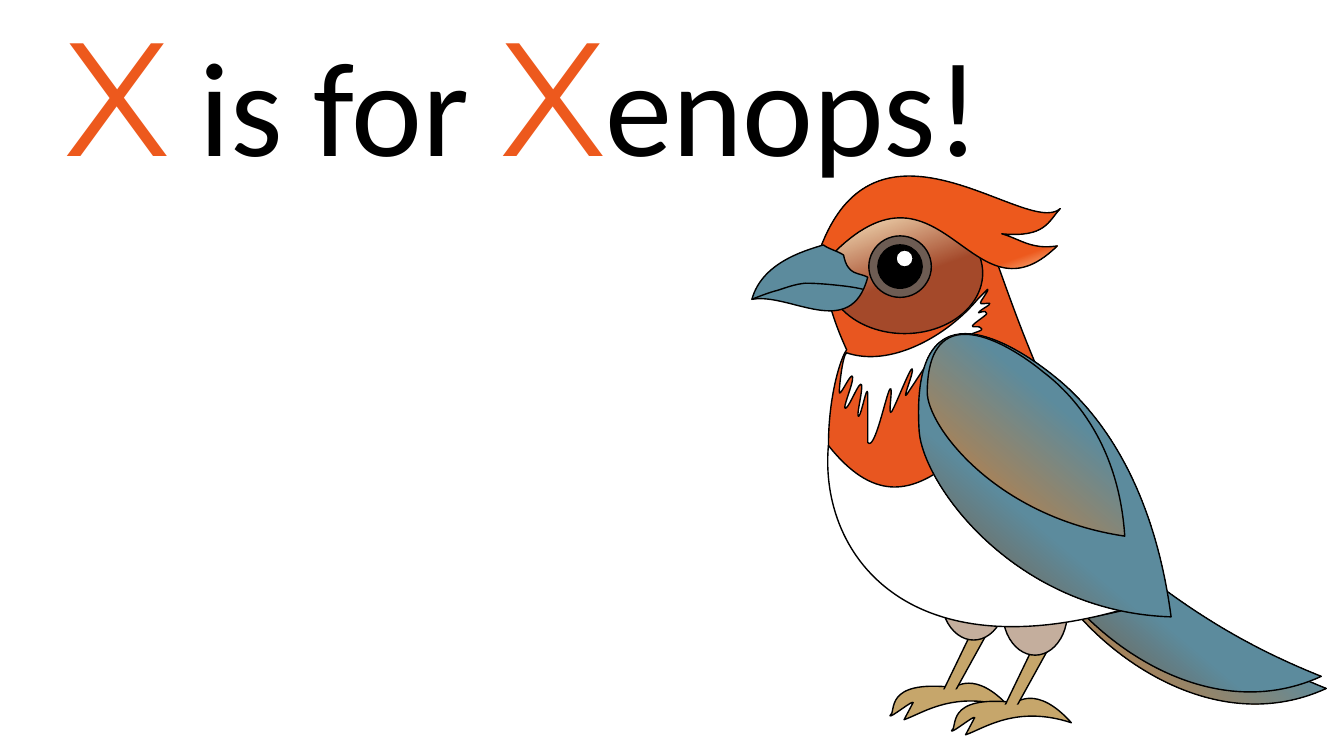
from lxml import etree
from pptx import Presentation
from pptx.dml.color import RGBColor
from pptx.enum.shapes import MSO_SHAPE
from pptx.enum.text import MSO_ANCHOR, MSO_AUTO_SIZE, PP_ALIGN
from pptx.oxml.ns import qn
from pptx.util import Cm, Pt

OVAL, TOP, CENTER = MSO_SHAPE.OVAL, MSO_ANCHOR.TOP, PP_ALIGN.CENTER
GROW = MSO_AUTO_SIZE.SHAPE_TO_FIT_TEXT

BLACK = RGBColor(0x00, 0x00, 0x00)
WHITE = RGBColor(0xFF, 0xFF, 0xFF)
ORANGE = RGBColor(0xED, 0x59, 0x1D)
RUST = RGBColor(0xE8, 0x56, 0x20)
AMBER = RGBColor(0xDF, 0x7C, 0x27)
BLUE = RGBColor(0x5C, 0x8B, 0x9D)
BROWN = RGBColor(0x7E, 0x4C, 0x26)
UMBER = RGBColor(0x88, 0x51, 0x26)
CREAM = RGBColor(0xFF, 0xF2, 0xCC)
BRICK = RGBColor(0xA4, 0x49, 0x2A)
TAN = RGBColor(0xC6, 0xA6, 0x6B)
PINK = RGBColor(0xC4, 0xAE, 0x9D)
TAUPE = RGBColor(0x6D, 0x5C, 0x53)

# Title runs: text, size, font, colour
TITLE = [
    ("X", 115, "Montserrat", ORANGE),
    (" is for ", 96, "Calibri", BLACK),
    ("X", 115, "Montserrat", ORANGE),
    ("enops! ", 96, "Calibri", BLACK),
]

# Outlines: a start point, then lines (x, y) and curves (two controls, end)
TAIL = [(10.83, 5.34), (10.49, 5.09, 10.17, 3.93, 10.36, 5.51),
        (10.43, 6.04, 11.8, 7.45, 13.16, 6.83),
        (12.31, 6.49, 11.66, 6.07, 10.83, 5.34)]
FOOT = [(9.46, 6.82), (8.75, 6.74, 8.9, 7.07, 8.83, 7.1),
        (8.83, 7.13, 9.06, 6.94, 9.06, 6.97), (8.97, 7.14),
        (9.15, 7.08, 9.47, 6.84, 10.02, 7.02),
        (9.67, 6.63, 9.47, 6.83, 9.46, 6.82)]
LEG = [(9.84, 6.2), (9.66, 6.23), (9.36, 6.85), (9.47, 6.87)]
ANKLE = [(9.59, 6.9), (9.5, 6.84), (9.27, 6.84), (9.32, 6.89)]
BODY = [(9.75, 2.24), (9.99, 1.68, 7.41, 1.32, 8.4, 3.47),
        (8.18, 3.78, 7.54, 7.01, 11.37, 6),
        (11.71, 6.03, 10.57, 4.3, 10.3, 3.67),
        (10.03, 3.04, 9.88, 2.53, 9.75, 2.24)]
RUFF = [(9.7, 2.97), (9.4, 3.33, 8.84, 3.65, 8.4, 3.5),
        (8.36, 3.52, 8.32, 3.88, 8.33, 3.9),
        (8.35, 3.91, 8.45, 3.68, 8.46, 3.74),
        (8.47, 3.8, 8.35, 4.07, 8.39, 4.05),
        (8.43, 4.04, 8.53, 3.76, 8.55, 3.82),
        (8.56, 3.88, 8.49, 4.15, 8.52, 4.13),
        (8.55, 4.11, 8.6, 3.81, 8.61, 3.9),
        (8.61, 4.39),
        (8.68, 4.48, 8.79, 3.92, 8.83, 3.86),
        (8.87, 3.81, 8.8, 4.16, 8.85, 4.08),
        (8.9, 3.99, 9.03, 3.65, 9.05, 3.66),
        (9.08, 3.67, 8.94, 3.99, 9, 3.91), (9.27, 3.5),
        (9.46, 3.43, 9.14, 3.67, 9.2, 3.68),
        (9.48, 3.76, 9.77, 3.41, 9.74, 3.37),
        (9.71, 3.34, 9.58, 3.39, 9.6, 3.35),
        (9.61, 3.3, 9.76, 3.29, 9.74, 3.26),
        (9.72, 3.22, 9.63, 3.26, 9.65, 3.23),
        (9.67, 3.2, 9.8, 3.12, 9.79, 3.11),
        (9.79, 3.06, 9.69, 3.12, 9.71, 3.1),
        (9.73, 3.07, 9.84, 3.02, 9.82, 3.01),
        (9.81, 3, 9.71, 3.03, 9.73, 3),
        (9.74, 2.97, 9.82, 2.87, 9.8, 2.87)]
BELLY = [(10.42, 3.9), (9.68, 4.06, 9.1, 5.53, 8.22, 4.42),
         (8.12, 5.54, 9.07, 6.77, 11.45, 5.95)]
CREST = [(9.94, 2.32), (10.37, 2.36, 10.4, 2.2, 10.52, 2.07),
         (10.18, 2.38, 8.53, 0.77, 8.05, 2.76),
         (9.32, 1.18, 9.59, 3.33, 10.49, 2.44),
         (10.23, 2.48, 10.12, 2.37, 9.94, 2.32)]
WING = [(10.47, 3.74), (10.14, 3.47, 9.02, 2.69, 9.12, 4.28),
        (9.16, 4.81, 10.07, 6.07, 11.62, 6.12),
        (11.43, 4.69, 10.82, 4.02, 10.47, 3.74)]
COVERTS = [(10.35, 3.69), (10.1, 3.48, 9.21, 2.87, 9.2, 3.89),
           (9.2, 4.23, 9.88, 5.13, 11.16, 5.32),
           (11.1, 4.39, 10.63, 3.9, 10.35, 3.69)]
BILL = [(8.37, 2.53), (8.31, 2.49, 8.22, 2.47, 8.17, 2.43),
        (7.97, 2.49, 7.56, 2.61, 7.46, 2.97),
        (7.84, 2.9, 8.44, 3.39, 8.61, 2.75),
        (8.52, 2.7, 8.41, 2.74, 8.37, 2.53)]
MOUTH = [(8.56, 2.87), (8.48, 2.85, 8.4, 2.84, 8.3, 2.83),
         (8.21, 2.82, 8.09, 2.81, 7.99, 2.81),
         (7.89, 2.82, 7.81, 2.85, 7.72, 2.88),
         (7.63, 2.9, 7.46, 2.97, 7.46, 2.97)]

# Ovals: left, top, width, height
THIGH = (9.34, 5.51, 0.64, 0.84)
FACE = (8.2, 2.11, 1.55, 1.2)
IRIS = (8.62, 2.34, 0.62, 0.61)
PUPIL = (8.71, 2.43, 0.44, 0.43)
GLINT = (8.89, 2.48, 0.17, 0.17)

LEG_STEP = (0.61, 0.15)     # from the far leg to the near one
TAIL_STEP = (-0.05, -0.12)  # from the under tail to the upper one
SAMPLES = 20


def cm(units):
    return Cm(2.54 * units)


def add_text(p, text, size=96, font="Calibri", color=BLACK):
    r = p.add_run()
    r.text = text
    r.font.size, r.font.name, r.font.color.rgb = Pt(size), font, color


def bounds(outline):
    """Left, top, right and bottom of the drawn lines and curves."""
    pts = [outline[0]]
    for seg in outline[1:]:
        if len(seg) == 6:
            ctrl = [pts[-1], seg[:2], seg[2:4], seg[4:]]
            for i in range(1, SAMPLES):
                t = i / SAMPLES
                weights = ((1 - t)**3, 3 * t * (1 - t)**2, 3 * t**2 * (1 - t), t**3)
                pts.append([sum(w * c[axis] for w, c in zip(weights, ctrl))
                            for axis in (0, 1)])
        pts.append(seg[-2:])
    xs, ys = zip(*pts)
    return min(xs), min(ys), max(xs), max(ys)


def paint(sp, fill, line):
    """Fill is a colour, None, or (start, end, end position, angle)."""
    sp.shadow.inherit = False
    if fill is None:
        sp.fill.background()
    elif isinstance(fill, RGBColor):
        sp.fill.solid()
        sp.fill.fore_color.rgb = fill
    else:
        start, end, position, angle = fill
        sp.fill.gradient()
        sp.fill.gradient_angle = angle
        for stop, color, at in zip(sp.fill.gradient_stops, (start, end), (0, position)):
            stop.color.rgb, stop.position = color, at
    if line:
        sp.line.color.rgb, sp.line.width = BLACK, Pt(1)
    else:
        sp.line.fill.background()


def add_outline(outline, fill, step=(0, 0), line=True, close=True):
    x0, y0, x1, y1 = bounds(outline)
    frame = [(cm(x + step[0]), cm(y + step[1]))
             for x, y in ((x0, y0), (x1, y0), (x1, y1), (x0, y1))]
    fb = bird.shapes.build_freeform(*frame[0])
    fb.add_line_segments(frame[1:])
    sp = fb.convert_to_shape()

    # Put the true curves inside the frame
    route = sp._element.find(".//" + qn("a:path"))
    for child in list(route):
        route.remove(child)
    for i, seg in enumerate(outline):
        tag = "a:moveTo" if i == 0 else "a:lnTo" if len(seg) == 2 else "a:cubicBezTo"
        node = etree.SubElement(route, qn(tag))
        for x, y in zip(seg[::2], seg[1::2]):
            etree.SubElement(node, qn("a:pt"), x=str(int(cm(x - x0))), y=str(int(cm(y - y0))))
    if close:
        etree.SubElement(route, qn("a:close"))
    paint(sp, fill, line)


def add_oval(box, fill, step=(0, 0)):
    x, y, w, h = box
    sp = bird.shapes.add_shape(OVAL, cm(x + step[0]), cm(y + step[1]), cm(w), cm(h))
    paint(sp, fill, True)


prs = Presentation()
prs.slide_width, prs.slide_height = Cm(33.87), Cm(19.05)
s = prs.slides.add_slide(prs.slide_layouts[5])

# Title
title = s.shapes.title
title.left, title.top, title.width, title.height = Cm(0), Cm(-0.25), Cm(27.08), Cm(5.18)
tf = title.text_frame
tf.word_wrap, tf.auto_size, tf.vertical_anchor = True, GROW, TOP
p = tf.paragraphs[0]
p.alignment = CENTER
for text, size, font, color in TITLE:
    add_text(p, text, size=size, font=font, color=color)

# Tail and legs
bird = s.shapes.add_group_shape()
add_outline(TAIL, (AMBER, BLUE, 0.56, 50))
add_outline(TAIL, (BROWN, BLUE, 0.38, 50), TAIL_STEP)
for step in ((0, 0), LEG_STEP):
    add_outline(FOOT, TAN, step)
    add_outline(LEG, TAN, step)
    add_outline(ANKLE, TAN, step, line=False)
for step in ((0, 0), LEG_STEP):
    add_oval(THIGH, PINK, step)

# Body, face and eye
for part, color in ((BODY, RUST), (RUFF, WHITE), (BELLY, WHITE)):
    add_outline(part, color)
add_oval(FACE, (CREAM, BRICK, 0.54, 290))
for part, color in ((IRIS, TAUPE), (PUPIL, BLACK), (GLINT, WHITE)):
    add_oval(part, color)

# Crest, wing and bill
add_outline(CREST, (CREAM, ORANGE, 0.19, 110))
add_outline(WING, (UMBER, BLUE, 0.39, 50))
add_outline(COVERTS, (AMBER, BLUE, 0.66, 50))
add_outline(BILL, BLUE)
add_outline(MOUTH, None, close=False)

prs.save("out.pptx")
